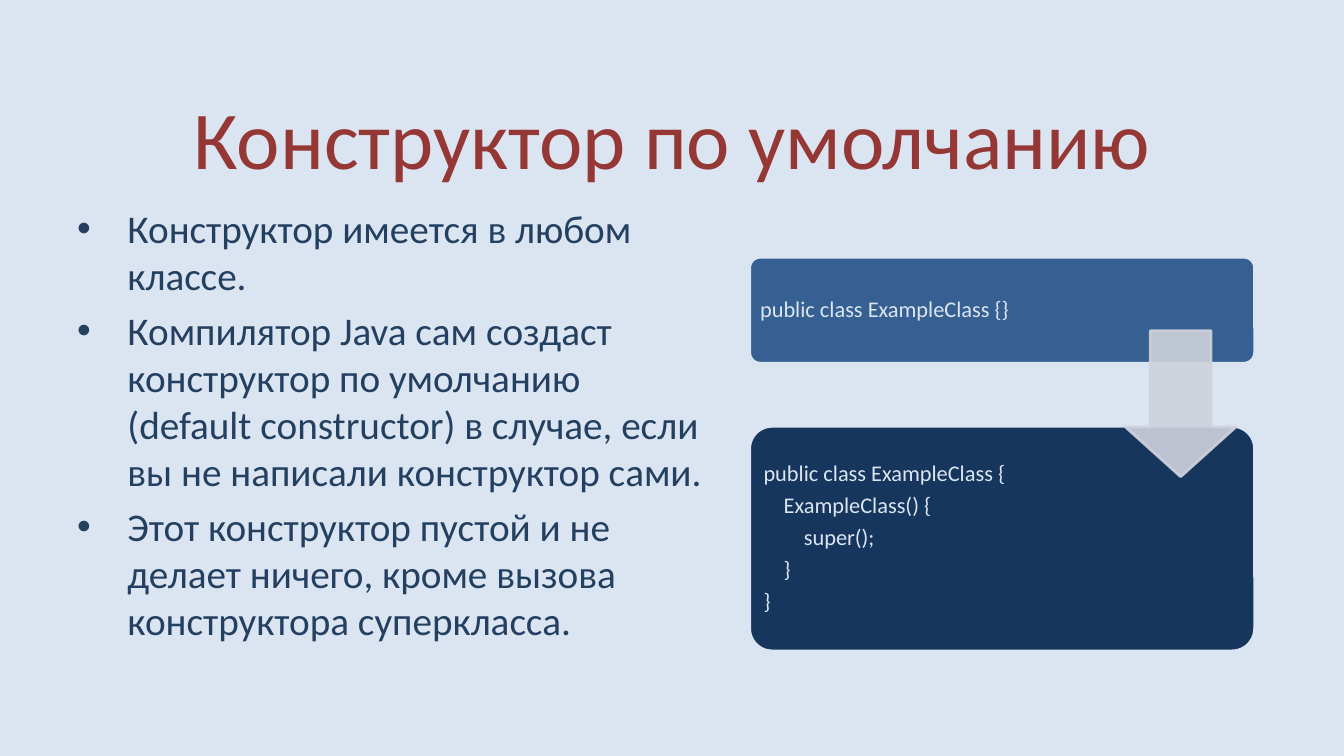
from lxml import etree
from pptx import Presentation
from pptx import util as u
from pptx.dml.color import RGBColor
from pptx.enum import shapes, text
from pptx.oxml.ns import qn

PX = 9525  # EMU per px, 96 px to the inch
FONT = "Calibri"
COLORS = {
    "background": "DBE5F1",
    "title": "953734",
    "body": "244061",
    "short_card": "366092",
    "full_card": "17365D",
    "arrow": "CED2DC",
}

TITLE = "Конструктор по умолчанию"
POINTS = [
    "Конструктор имеется в любом классе.",
    "Компилятор Java сам создаст конструктор по умолчанию "
    "(default constructor) в случае, если вы не написали конструктор сами.",
    "Этот конструктор пустой и не делает ничего, кроме вызова "
    "конструктора суперкласса.",
]
SHORT_CODE = ["public class ExampleClass {}"]
FULL_CODE = [
    "public class ExampleClass {",
    "    ExampleClass() {",
    "        super();",
    "    }",
    "}",
]


class SlideBuilder:
    def __init__(self, presentation):
        self.slide = presentation.slides.add_slide(presentation.slide_layouts[5])
        fill = self.slide.background.fill
        fill.solid()
        fill.fore_color.rgb = self.color("background")

    def color(self, name):
        return RGBColor.from_string(COLORS[name])

    def box(self, *lengths):
        return [length * PX for length in lengths]

    def style(self, paragraph, size, color):
        for run in paragraph.runs:
            run.font.name = FONT
            run.font.size = u.Pt(size)
            run.font.color.rgb = self.color(color)

    def paragraphs(self, frame, lines):
        frame.text = "\n".join(lines)
        return frame.paragraphs

    def title(self, wording, left, top, width, height):
        shape = self.slide.shapes.title
        shape.left, shape.top, shape.width, shape.height = self.box(
            left, top, width, height)
        frame = shape.text_frame
        frame.text = wording
        frame.vertical_anchor = text.MSO_ANCHOR.MIDDLE
        frame.paragraphs[0].alignment = text.PP_ALIGN.CENTER
        self.style(frame.paragraphs[0], 58.7, "title")

    def bullets(self, lines, left, top, width, height):
        shape = self.slide.shapes.add_textbox(*self.box(left, top, width, height))
        frame = shape.text_frame
        frame.word_wrap = True
        for index, paragraph in enumerate(self.paragraphs(frame, lines)):
            properties = paragraph._p.get_or_add_pPr()
            properties.set("marL", str(48 * PX))
            properties.set("indent", str(-48 * PX))
            font = etree.SubElement(properties, qn("a:buFont"))
            font.set("typeface", "Arial")
            etree.SubElement(properties, qn("a:buChar")).set("char", "•")
            if index:
                paragraph.space_before = u.Pt(5.6)
            self.style(paragraph, 28, "body")

    def shape(self, kind, fill, line, adjustments, *lengths):
        shape = self.slide.shapes.add_shape(kind, *self.box(*lengths))
        shape.shadow.inherit = False
        for index, value in enumerate(adjustments):
            shape.adjustments[index] = value
        shape.fill.solid()
        shape.fill.fore_color.rgb = self.color(fill)
        shape.line.color.rgb = self.color(line)
        shape.line.width = u.Pt(2)
        return shape

    def code_card(self, lines, fill, *lengths):
        shape = self.shape(shapes.MSO_SHAPE.ROUNDED_RECTANGLE, fill,
                           "background", [0.1], *lengths)
        frame = shape.text_frame
        frame.word_wrap = True
        frame.vertical_anchor = text.MSO_ANCHOR.MIDDLE
        frame.margin_left = frame.margin_right = 7 * PX
        frame.margin_top = frame.margin_bottom = 7 * PX
        for paragraph in self.paragraphs(frame, lines):
            paragraph.alignment = text.PP_ALIGN.LEFT
            paragraph.line_spacing = 0.9
            paragraph.space_after = u.Pt(5.6)
            self.style(paragraph, 16, "background")

    def down_arrow(self, opacity, *lengths):
        shape = self.shape(shapes.MSO_SHAPE.DOWN_ARROW, "arrow", "arrow",
                           [0.55, 0.45], *lengths)
        for color in shape._element.spPr.iter(qn("a:srgbClr")):
            etree.SubElement(color, qn("a:alpha")).set("val", str(opacity * 1000))


def main():
    presentation = Presentation()
    presentation.slide_width = 1280 * PX
    presentation.slide_height = 720 * PX
    builder = SlideBuilder(presentation)

    # Title and explanation
    builder.title(TITLE, 64, 70, 1152, 120)
    builder.bullets(POINTS, 64, 190, 620, 475)

    # Class as written, and as the compiler completes it
    builder.code_card(SHORT_CODE, "short_card", 714, 245, 481, 101)
    builder.code_card(FULL_CODE, "full_card", 714, 406, 481, 214)
    builder.down_arrow(90, 1072, 315, 105, 139)

    presentation.save("out.pptx")


if __name__ == "__main__":
    main()
